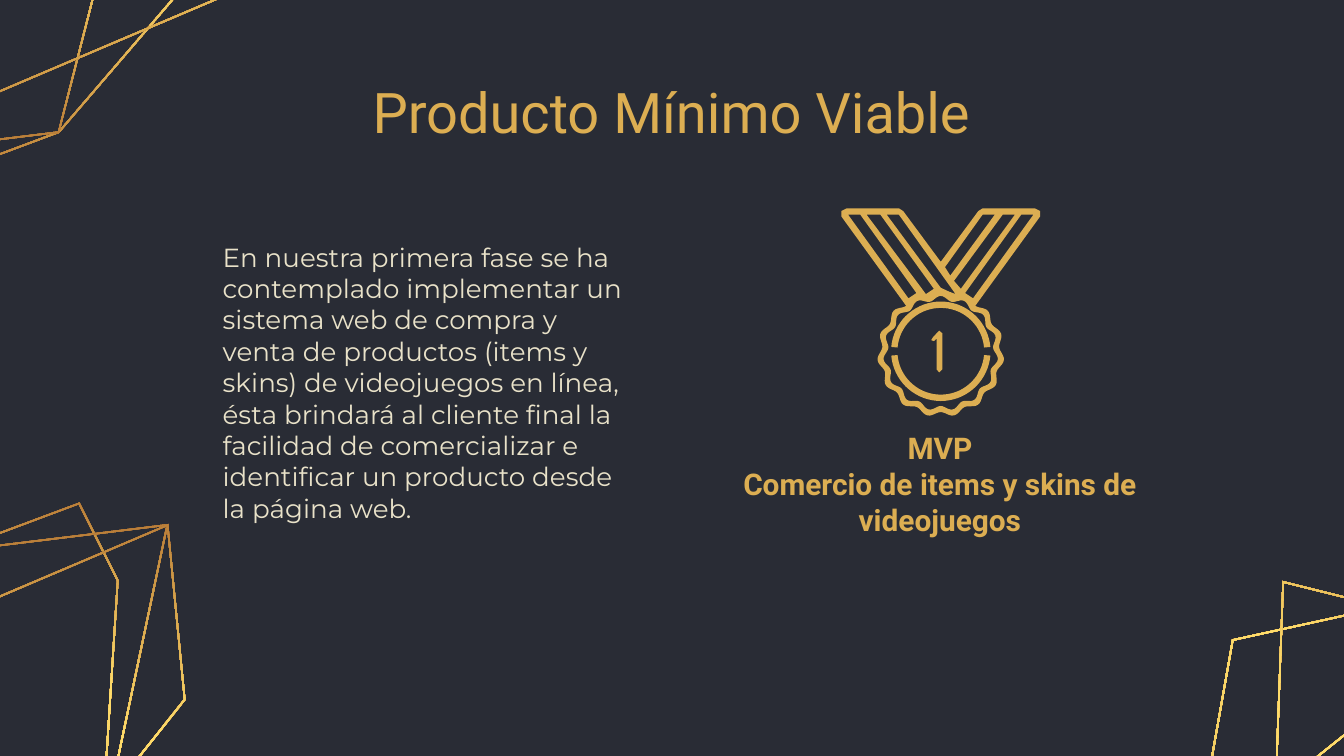
from copy import deepcopy
from math import cos, hypot, radians, sin

from pptx import Presentation
from pptx.dml.color import RGBColor
from pptx.enum.text import MSO_ANCHOR as ANCHOR, PP_ALIGN as ALIGN
from pptx.oxml.ns import qn
from pptx.util import Cm, Pt

NAVY = RGBColor(0x29, 0x2C, 0x35)
GOLD = RGBColor(0xDC, 0xAE, 0x52)
BRONZE = RGBColor(0xAF, 0x71, 0x32)
YELLOW = RGBColor(0xFF, 0xDD, 0x6B)
CREAM = RGBColor(0xE9, 0xE2, 0xC9)

prs = Presentation()
prs.slide_width, prs.slide_height = Cm(25.4), Cm(14.29)
s = prs.slides.add_slide(prs.slide_layouts[6])
s.background.fill.solid()
s.background.fill.fore_color.rgb = NAVY


def add_outline(contours, cx=0, cy=0):
    """Draw closed contours, in cm around (cx, cy), as one shape; inner ones are holes."""
    builder = None
    for contour in contours:
        pts = [(Cm(cx + x), Cm(cy + y)) for x, y in contour]
        if builder is None:
            builder = s.shapes.build_freeform(*pts[0], scale=1.0)
        else:
            builder.move_to(*pts[0])
        builder.add_line_segments(pts[1:], close=True)
    sp = builder.convert_to_shape()
    sp.shadow.inherit = False
    sp.line.fill.background()
    sp.fill.solid()
    sp.fill.fore_color.rgb = GOLD
    return sp


def inset(pts, t):
    """Move every edge of a polygon sideways by t."""
    moved = []
    for i, (x, y) in enumerate(pts):
        (x0, y0), (x1, y1) = pts[i - 1], pts[(i + 1) % len(pts)]
        a, b = hypot(x - x0, y - y0), hypot(x1 - x, y1 - y)
        ux, uy, vx, vy = (x - x0) / a, (y - y0) / a, (x1 - x) / b, (y1 - y) / b
        k = t / (ux * vy - uy * vx)
        moved.append((x + k * (vx - ux), y + k * (vy - uy)))
    return moved


# Corner wireframes: three polygons sharing vertices, turned and scaled about C
VERTICES = {
    "A": (-2.37, 6.53), "B": (-3.58, 3.43), "C": (0, 0), "D": (2.52, -0.67),
    "E": (3.11, 0.87), "F": (2.33, 5.66), "G": (-0.28, 7.81), "H": (4.15, -0.1),
    "I": (-3.39, 2.27), "J": (4.15, 3.24),
}
CORNERS = [  # x, y of C, rotation, scale
    (-0.94, 10.41, 354.4, 1),
    (1.12, 2.51, 174.4, 1),
    (29.29, 10.77, 31.4, 1.24),
]
STOPS = [(0, BRONZE), (0.5, YELLOW), (1, GOLD)]
for x, y, rot, scale in CORNERS:
    for names in ("ABCDEF", "GACHF", "GIHJ"):
        pts = [(scale * VERTICES[n][0], scale * VERTICES[n][1]) for n in names]
        sp = add_outline([pts, inset(pts, 0.03)])
        mx, my = sp.left + sp.width / 2, sp.top + sp.height / 2
        c, d = cos(radians(rot)), sin(radians(rot))
        sp.left = int(Cm(x) + mx * c - my * d - sp.width / 2)
        sp.top = int(Cm(y) + mx * d + my * c - sp.height / 2)
        sp.rotation = rot
        sp.fill.gradient()
        sp.fill.gradient_angle = 270
        stop_list = sp._element.spPr.find(".//" + qn("a:gsLst"))
        stop_list.insert(1, deepcopy(stop_list[0]))
        for stop, (position, color) in zip(sp.fill.gradient_stops, STOPS):
            stop.position = position
            stop.color.rgb = color

# Text
TEXTS = [  # left, top, width, height, size, font, colour, bold, alignment, paragraphs
    (5.54, 1.5, 14.3, 1.19, 30, "Roboto", GOLD, False, ALIGN.CENTER,
     ["Producto Mínimo Viable"]),
    (3.96, 3.4, 8.18, 7.65, 14, "Montserrat", CREAM, False, ALIGN.LEFT,
     ["En nuestra primera fase se ha contemplado implementar un sistema web de "
      "compra y venta de productos (items y skins) de videojuegos en línea, ésta "
      "brindará al cliente final la",
      "facilidad de comercializar e identificar un producto desde la página web."]),
    (13.03, 8.2, 9.47, 1.88, 16, "Roboto", GOLD, True, ALIGN.CENTER,
     ["MVP", "Comercio de items y skins de videojuegos"]),
]
for left, top, width, height, size, font, color, bold, align, lines in TEXTS:
    tf = s.shapes.add_textbox(Cm(left), Cm(top), Cm(width), Cm(height)).text_frame
    tf.word_wrap = True
    tf.vertical_anchor = ANCHOR.MIDDLE
    tf.margin_left = tf.margin_right = tf.margin_top = tf.margin_bottom = Cm(0.25)
    tf.text = "\n".join(lines)
    for p in tf.paragraphs:
        p.alignment = align
        for r in p.runs:
            r.font.size, r.font.name, r.font.bold = Pt(size), font, bold
            r.font.color.rgb = color

# Medal: ribbons and a rosette of 15 lobes, in cm around the rosette's centre
MEDAL_X, MEDAL_Y = 17.78, 6.68
rosette = []
for angle in range(-54, 306, 2):
    radius = 1.155 - 0.045 * cos(radians(15 * (angle - 90)))
    rosette.append((angle, radius))
rim = [(r * cos(radians(a)), r * sin(radians(a))) for a, r in rosette if a <= 234]
hole = [((r - 0.115) * cos(radians(a)), (r - 0.115) * sin(radians(a)))
        for a, r in rosette]
ribbon = [(-1.88, -2.59), (-1.88, -2.69), (-1.78, -2.74), (-0.79, -2.74), (-0.71, -2.69)]
edge = rim + ribbon + [(0, -1.73)] + [(-x, y) for x, y in reversed(ribbon)]
outer_stripe = [(-1.75, -2.62), (-1.52, -2.62), (-0.46, -1.14), (-0.61, -1.04)]
stripes = [
    outer_stripe,
    [(-x, y) for x, y in outer_stripe],
    [(-1.4, -2.62), (-1.14, -2.62), (-0.13, -1.22), (-0.28, -1.12)],
    [(-1.02, -2.62), (-0.79, -2.62), (0.28, -1.12), (0.15, -1.17), (0, -1.24)],
    [(1.4, -2.62), (0.38, -1.22), (0.25, -1.37), (1.17, -2.62)],
    [(1.02, -2.62), (0.18, -1.47), (0.08, -1.63), (0.79, -2.62)],
]
add_outline([edge, hole] + stripes, MEDAL_X, MEDAL_Y)

for start in (185, 5):
    angles = [radians(a) for a in range(start, start + 171, 5)]
    arc = [(0.94 * cos(a), 0.94 * sin(a)) for a in angles]
    arc += [(0.82 * cos(a), 0.82 * sin(a)) for a in reversed(angles)]
    add_outline([arc], MEDAL_X, MEDAL_Y - 0.04)

numeral = [(-0.03, -0.43), (-0.05, -0.41), (-0.15, -0.3), (-0.18, -0.25), (-0.13, -0.23),
           (-0.08, -0.28), (-0.08, 0.3), (-0.03, 0.36), (0.03, 0.3), (0.03, -0.38)]
add_outline([numeral], MEDAL_X, MEDAL_Y)

prs.save("out.pptx")
